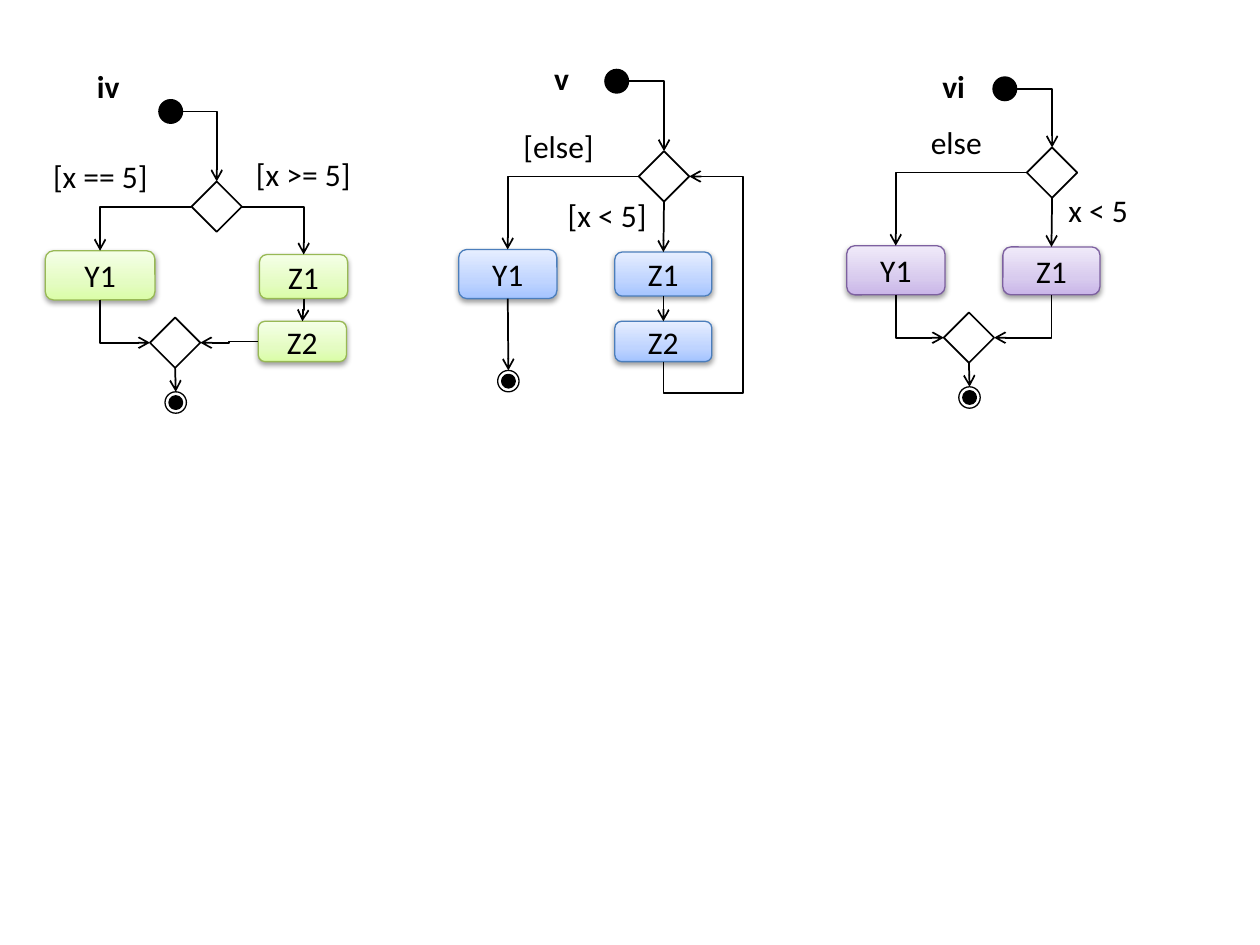
import pptx
import pptx.util
import pptx.oxml
import pptx.oxml.ns
import pptx.dml.color
import pptx.enum.shapes
import pptx.enum.text

Inches = pptx.util.Inches
Pt = pptx.util.Pt
RGB = pptx.dml.color.RGBColor.from_string
SHAPE = pptx.enum.shapes.MSO_SHAPE
LINK = pptx.enum.shapes.MSO_CONNECTOR
ALIGN = pptx.enum.text.PP_ALIGN
NS = pptx.oxml.ns.nsdecls("a")

theme = {
    "font": "Calibri", "size": 18, "ink": "000000", "paper": "FFFFFF",
    "green": (("DAFDA7", "E4FCC2", "F5FFE7"), "98B955"),
    "blue": (("A4C4FF", "BFD4FF", "E6EEFF"), "4B7EBC"),
    "purple": (("C9B5E8", "D8CBEE", "F0EAF9"), "7D60A0"),
    "stops": (0, 35000, 100000),
}
TOP, LEFT, BOTTOM, RIGHT = range(4)
SIDES = {TOP: (0.5, 0), LEFT: (0, 0.5), BOTTOM: (0.5, 1), RIGHT: (1, 0.5)}

charts = [
    {
        "colour": "green", "title": ("iv", 0.67, 0.48),
        "start": (1.27, 0.8), "choice": (1.52, 1.44), "merge": (1.19, 2.52), "end": (1.31, 3.11),
        "actions": {"Y1": (0.36, 1.99, 0.87, 0.39), "Z1": (2.06, 2.02, 0.7, 0.35),
                    "Z2": (2.05, 2.55, 0.7, 0.32)},
        "guards": [("[x >= 5]", 1.83, 1.18, 1.05), ("[x == 5]", 0.27, 1.2, 1)],
        "flows": [("choice", RIGHT, "Z1", TOP), ("Z1", BOTTOM, "Z2", TOP),
                  ("Z2", LEFT, "merge", RIGHT), ("Y1", BOTTOM, "merge", LEFT),
                  ("merge", BOTTOM, "end", TOP)],
    },
    {
        "colour": "blue", "title": ("v", 4.3, 0.42),
        "start": (4.81, 0.56), "choice": (5.07, 1.2), "end": (3.95, 2.94),
        "actions": {"Y1": (3.64, 1.98, 0.78, 0.39), "Z1": (4.88, 2, 0.77, 0.35),
                    "Z2": (4.88, 2.55, 0.77, 0.32)},
        "guards": [("[x < 5]", 4.1, 1.51, 1.13), ("[else]", 3.81, 0.96, 1)],
        "flows": [("choice", BOTTOM, "Z1", TOP), ("Z1", BOTTOM, "Z2", TOP),
                  ("Z2", BOTTOM, "choice", RIGHT), ("Y1", BOTTOM, "end", TOP)],
    },
    {
        "colour": "purple", "title": ("vi", 7.38, 0.48),
        "start": (7.89, 0.62), "choice": (8.15, 1.17), "merge": (7.49, 2.48), "end": (7.61, 3.07),
        "actions": {"Y1": (6.72, 1.95, 0.78, 0.39), "Z1": (7.96, 1.96, 0.77, 0.38)},
        "guards": [("x < 5", 7.92, 1.47, 1.13), ("else", 6.89, 0.93, 1)],
        "flows": [("choice", BOTTOM, "Z1", TOP), ("Z1", BOTTOM, "merge", RIGHT),
                  ("Y1", BOTTOM, "merge", LEFT), ("merge", BOTTOM, "end", TOP)],
    },
]

deck = pptx.Presentation()
deck.slide_width, deck.slide_height = Inches(10), Inches(7.5)
page = deck.slides.add_slide(deck.slide_layouts[6])


def add_node(parent, preset, place, fill, line, weight):
    node = parent.shapes.add_shape(preset, *map(Inches, place))
    node.shadow.inherit = False
    node.fill.solid()
    node.fill.fore_color.rgb = RGB(fill)
    node.line.color.rgb = RGB(line)
    node.line.width = Pt(weight)
    return node


def write(box, text, align, bold=False):
    para = box.text_frame.paragraphs[0]
    para.alignment = align
    span = para.add_run()
    span.text = text
    for name, value in {"name": theme["font"], "size": Pt(theme["size"]), "bold": bold}.items():
        setattr(span.font, name, value)
    span.font.color.rgb = RGB(theme["ink"])


for chart in charts:
    ink, paper = theme["ink"], theme["paper"]
    nodes = {"start": add_node(page, SHAPE.OVAL, (*chart["start"], 0.17, 0.17), ink, ink, 2)}
    for name in ("choice", "merge"):
        if name in chart:
            place = (*chart[name], 0.4, 0.4)
            nodes[name] = add_node(page, SHAPE.FLOWCHART_DECISION, place, paper, ink, 1)

    left, top = chart["end"]
    final = page.shapes.add_group_shape()
    nodes["end"] = add_node(final, SHAPE.OVAL, (left, top, 0.17, 0.17), paper, ink, 0.75)
    add_node(final, SHAPE.OVAL, (left + 0.04, top + 0.04, 0.09, 0.09), ink, ink, 2)

    shades, edge = theme[chart["colour"]]
    stops = "".join(
        f'<a:gs pos="{pos}"><a:srgbClr val="{shade}"/></a:gs>'
        for pos, shade in zip(theme["stops"], shades)
    )
    for name, place in chart["actions"].items():
        box = add_node(page, SHAPE.ROUNDED_RECTANGLE, place, shades[0], edge, 0.75)
        props = box._element.spPr
        solid = props.find(pptx.oxml.ns.qn("a:solidFill"))
        props.replace(solid, pptx.oxml.parse_xml(
            f'<a:gradFill {NS} rotWithShape="1"><a:gsLst>{stops}</a:gsLst>'
            '<a:lin ang="16200000" scaled="0"/></a:gradFill>'))
        props.find(pptx.oxml.ns.qn("a:effectLst")).append(pptx.oxml.parse_xml(
            f'<a:outerShdw {NS} blurRad="40000" dist="20000" dir="5400000" rotWithShape="0">'
            f'<a:srgbClr val="{ink}"><a:alpha val="38000"/></a:srgbClr></a:outerShdw>'))
        box.text_frame.vertical_anchor = pptx.enum.text.MSO_ANCHOR.MIDDLE
        write(box, name, ALIGN.CENTER)
        nodes[name] = box

    title, left, top = chart["title"]
    labels = [(title, left, top, 0.51, ALIGN.LEFT, True)]
    labels += [(*guard, ALIGN.RIGHT, False) for guard in chart["guards"]]
    for text, left, top, width, align, bold in labels:
        box = page.shapes.add_textbox(*map(Inches, (left, top, width, 0.4)))
        box.text_frame.word_wrap = True
        box.text_frame.auto_size = pptx.enum.text.MSO_AUTO_SIZE.SHAPE_TO_FIT_TEXT
        write(box, text, align, bold)

    shared = [("start", RIGHT, "choice", TOP), ("choice", LEFT, "Y1", TOP)]
    for source, out, target, into in shared + chart["flows"]:
        points = []
        for name, side in ((source, out), (target, into)):
            node = nodes[name]
            across, down = SIDES[side]
            points += [int(node.left + node.width * across), int(node.top + node.height * down)]
        x1, y1, x2, y2 = points
        dx, dy = x2 - x1, y2 - y1
        straight = out == BOTTOM and into == TOP and abs(dx) < Inches(0.01)
        arrow = page.shapes.add_connector(LINK.STRAIGHT if straight else LINK.ELBOW, *points)
        arrow.line.color.rgb = RGB(ink)
        arrow.line.width = Pt(1)
        arrow.line._get_or_add_ln().append(pptx.oxml.parse_xml(f'<a:tailEnd {NS} type="arrow"/>'))
        props = arrow._element.spPr
        props.append(pptx.oxml.parse_xml(f"<a:effectLst {NS}/>"))
        if straight:
            arrow.begin_connect(nodes[source], out)
            arrow.end_connect(nodes[target], into)
            continue
        loop = out == BOTTOM and dy < 0
        bends = 4 if loop else 3 if out % 2 == into % 2 else 2
        geometry = props.find(pptx.oxml.ns.qn("a:prstGeom"))
        geometry.set("prst", f"bentConnector{bends}")
        if loop:
            for name, value in (("adj1", -17000), ("adj2", 307100)):
                geometry.get_or_add_avLst().append(pptx.oxml.parse_xml(
                    f'<a:gd {NS} name="{name}" fmla="val {value}"/>'))
        if out == BOTTOM:
            arrow.width, arrow.height = abs(dy), abs(dx)
            arrow.left = (x1 + x2 - abs(dy)) // 2
            arrow.top = (y1 + y2 - abs(dx)) // 2
            frame = props.find(pptx.oxml.ns.qn("a:xfrm"))
            frame.set("rot", str((270 if dx >= 0 else 90) * 60000))
            frame.set("flipH", str(int(dx >= 0 and dy > 0)))
            frame.set("flipV", "0")

deck.save("out.pptx")
